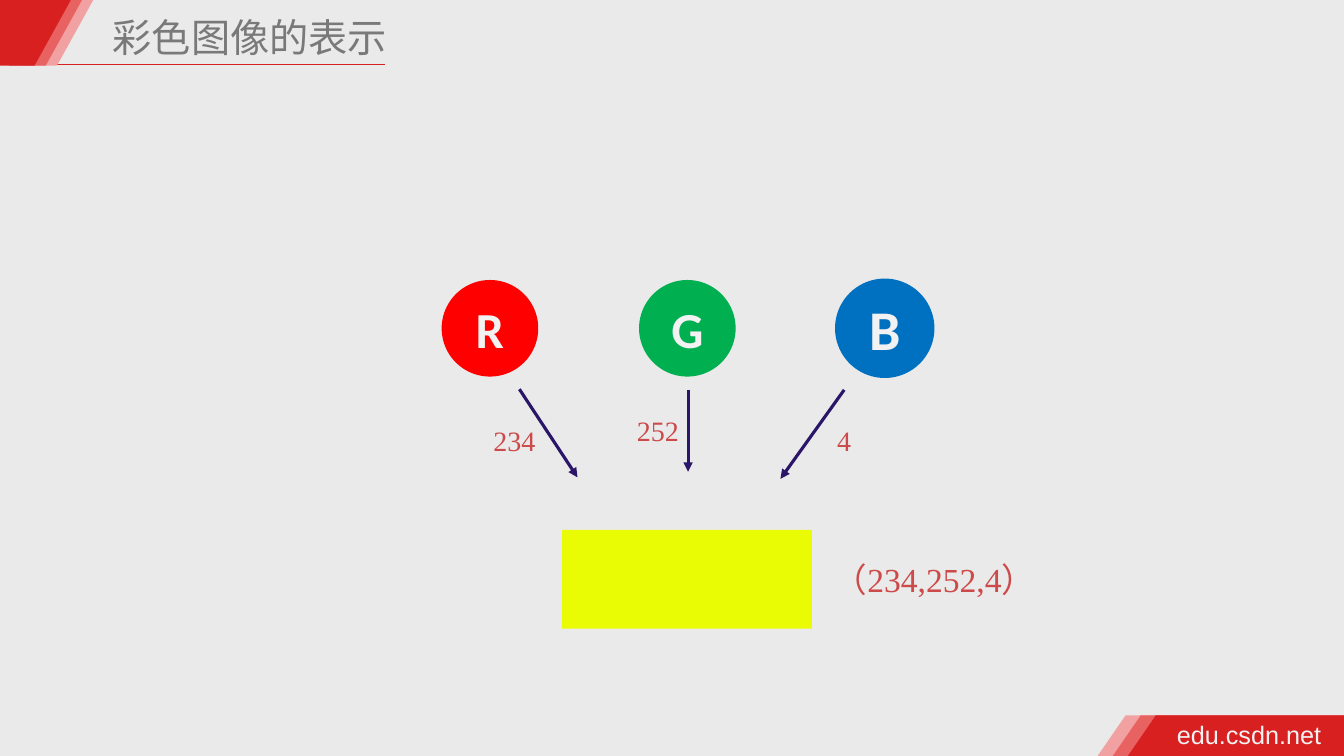
from pptx import Presentation
from pptx.dml.color import RGBColor
from pptx.enum.shapes import MSO_CONNECTOR, MSO_SHAPE
from pptx.enum.text import MSO_ANCHOR, MSO_AUTO_SIZE, PP_ALIGN
from pptx.oxml.ns import qn
from pptx.util import Pt
from lxml import etree

RECTANGLE, TRIANGLE, OVAL = MSO_SHAPE.RECTANGLE, MSO_SHAPE.ISOSCELES_TRIANGLE, MSO_SHAPE.OVAL
STRAIGHT = MSO_CONNECTOR.STRAIGHT
MIDDLE = MSO_ANCHOR.MIDDLE
FIT_SHAPE, NO_FIT = MSO_AUTO_SIZE.SHAPE_TO_FIT_TEXT, MSO_AUTO_SIZE.NONE
LEFT, CENTER = PP_ALIGN.LEFT, PP_ALIGN.CENTER

BACKGROUND = RGBColor(0xEA, 0xEA, 0xEA)
BRAND_RED = RGBColor(0xD8, 0x20, 0x20)
BAND_COLOURS = (RGBColor(0xF1, 0xA1, 0xA1), RGBColor(0xE8, 0x62, 0x62), BRAND_RED)
TITLE_GREY = RGBColor(0x79, 0x79, 0x79)
OFF_WHITE = RGBColor(0xF2, 0xF2, 0xF2)
RED = RGBColor(0xFF, 0x00, 0x00)
GREEN = RGBColor(0x00, 0xB0, 0x50)
BLUE = RGBColor(0x00, 0x70, 0xC0)
MIXED_YELLOW = RGBColor(0xEA, 0xFC, 0x04)
ARROW_NAVY = RGBColor(0x2A, 0x15, 0x68)
VALUE_RED = RGBColor(0xCC, 0x4B, 0x4A)

CJK_FONT = "Noto Sans CJK SC"
CHANNEL_STEP = 141


def write(frame, text, font, size, colour, align=CENTER, bold=False):
    paragraph = frame.paragraphs[0]
    paragraph.alignment = align
    run = paragraph.add_run()
    run.text = text
    formats = {"name": font, "size": Pt(size), "bold": bold}
    for attribute, value in formats.items():
        setattr(run.font, attribute, value)
    run.font.color.rgb = colour
    east_asian = etree.SubElement(run.font._element, qn("a:ea"))
    east_asian.set("typeface", CJK_FONT)


def add_block(slide, kind, left, top, width, height, colour):
    block = slide.shapes.add_shape(kind, Pt(left), Pt(top), Pt(width), Pt(height))
    block.shadow.inherit = False
    block.fill.solid()
    block.fill.fore_color.rgb = colour
    block.line.fill.background()
    return block


def add_label(slide, box, text, font, size, colour, align=CENTER,
              inset=None, wrap=True, fit=FIT_SHAPE):
    frame = slide.shapes.add_textbox(*map(Pt, box)).text_frame
    formats = {"word_wrap": wrap, "auto_size": fit}
    if inset is not None:
        for side in ("left", "top", "right", "bottom"):
            formats[f"margin_{side}"] = Pt(inset)
    for attribute, value in formats.items():
        setattr(frame, attribute, value)
    write(frame, text, font, size, colour, align)


def add_line(slide, start, end, colour, width, arrow=False):
    line = slide.shapes.add_connector(STRAIGHT, *map(Pt, start + end))
    line.line.color.rgb = colour
    line.line.width = Pt(width)
    if arrow:
        head = etree.SubElement(line.line._get_or_add_ln(), qn("a:tailEnd"))
        head.set("type", "triangle")
    etree.SubElement(line._element.spPr, qn("a:effectLst"))


def add_corner_bands(slide):
    # Top left: slanted bands stepping left
    for i, colour in enumerate(BAND_COLOURS):
        left = 14.6 - 8 * i
        add_block(slide, RECTANGLE, left, 0, 25.6, 47, colour)
        slant = add_block(slide, TRIANGLE, left, 0, 52, 47, colour)
        slant.rotation = 180
    # Bottom right: slanted bands stepping right
    for i, colour in enumerate(BAND_COLOURS):
        left = 784 + 10.8 * i
        add_block(slide, RECTANGLE, left + 20, 511, 960 - left - 20, 29, colour)
        add_block(slide, TRIANGLE, left, 511, 40, 29, colour)


def add_channel(slide, index, letter, colour, size, outline):
    circle = add_block(slide, OVAL, 315.5 + CHANNEL_STEP * index, 200, 69, 69, colour)
    if outline:
        circle.line.color.rgb = colour
        circle.line.width = Pt(outline)
    circle.text_frame.vertical_anchor = MIDDLE
    write(circle.text_frame, letter, "Calibri", size, OFF_WHITE, bold=True)


def main():
    deck = Presentation()
    deck.slide_width, deck.slide_height = Pt(960), Pt(540)
    slide = deck.slides.add_slide(deck.slide_layouts[6])
    slide.background.fill.solid()
    slide.background.fill.fore_color.rgb = BACKGROUND

    # Frame and title
    add_line(slide, (35, 46), (275, 46), BRAND_RED, 1)
    add_corner_bands(slide)
    add_label(slide, (837, 510, 112, 29), "edu.csdn.net", "Arial", 18, OFF_WHITE,
              LEFT, inset=3.6, wrap=False)
    add_label(slide, (77, 6, 284, 40), "彩色图像的表示", CJK_FONT, 28, TITLE_GREY,
              LEFT, inset=3.6, fit=NO_FIT)

    # Colour channels
    channels = (("R", RED, 36, 0), ("G", GREEN, 36, 0), ("B", BLUE, 40, 2))
    for index, channel in enumerate(channels):
        add_channel(slide, index, *channel)

    # Arrows into the mixed colour
    arrows = (((371, 278), (412.5, 341)),
              ((491.5, 278.5), (491.5, 337)),
              ((603, 278.5), (557.5, 342)))
    for start, end in arrows:
        add_line(slide, start, end, ARROW_NAVY, 2.25, arrow=True)
    add_block(slide, RECTANGLE, 401.5, 378.5, 178.5, 70.5, MIXED_YELLOW)

    # Channel values and the resulting triple
    values = (("234", (325.5, 299, 84, 32), 20),
              ("252", (429, 291.5, 82, 32), 20),
              ("4", (546.5, 299, 113, 32), 20),
              ("（234,252,4）", (543.5, 396, 248, 36), 24))
    for text, box, size in values:
        add_label(slide, box, text, "Times New Roman", size, VALUE_RED)

    deck.save("out.pptx")


if __name__ == "__main__":
    main()
